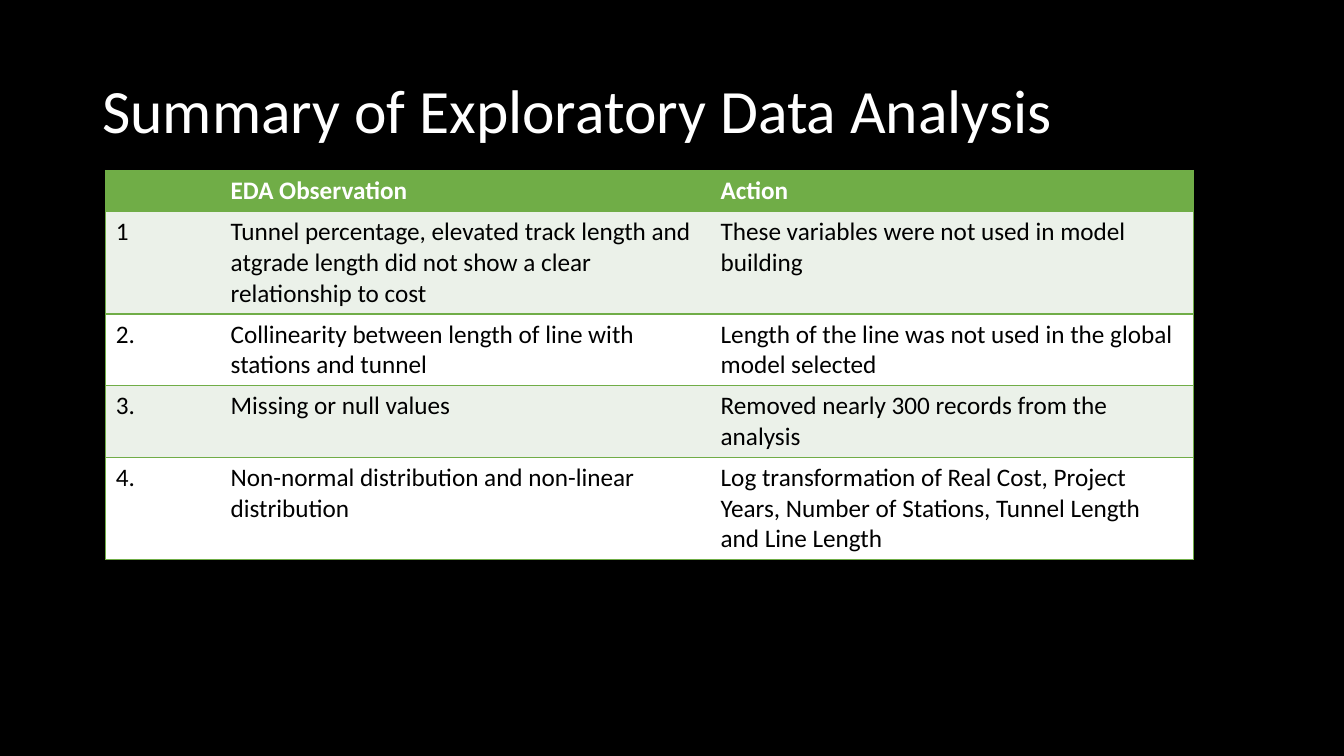
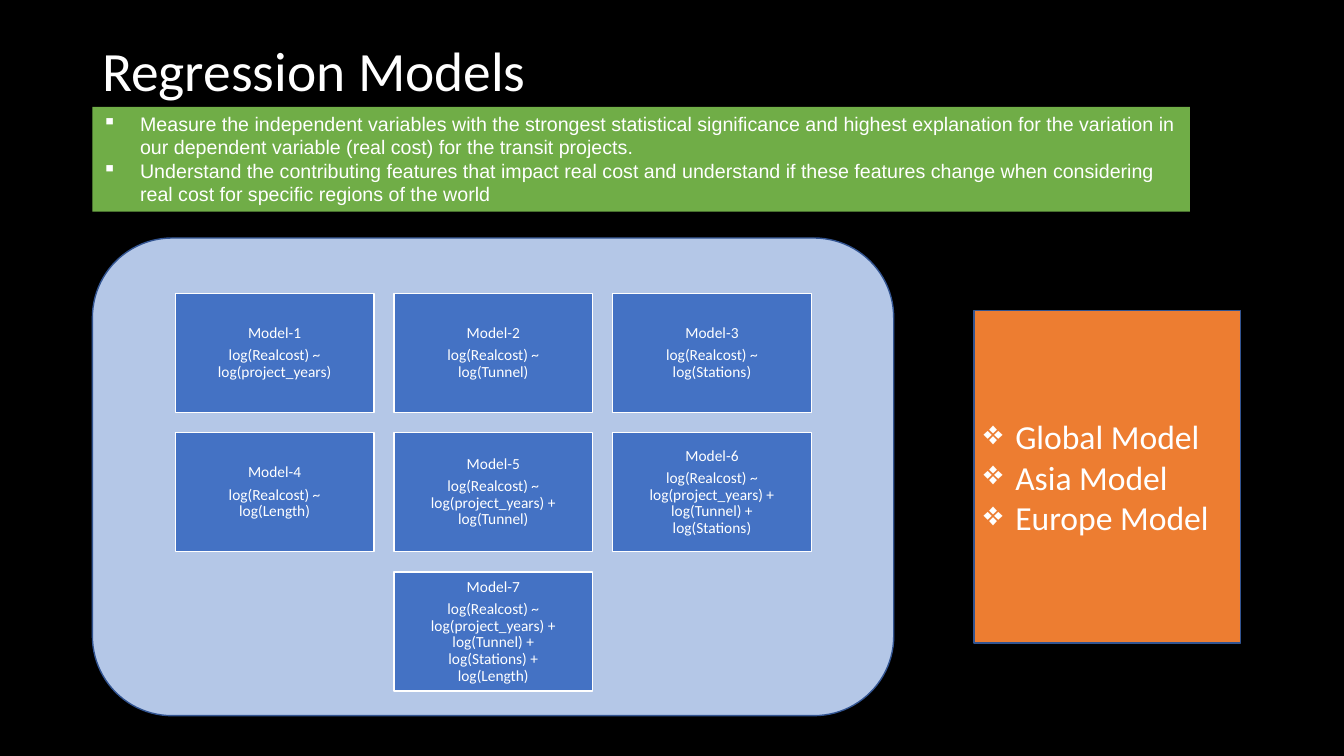
from dataclasses import dataclass

from lxml import etree
from pptx import Presentation
from pptx.dml.color import RGBColor
from pptx.enum.shapes import MSO_SHAPE
from pptx.enum.text import MSO_ANCHOR, PP_ALIGN
from pptx.oxml.ns import qn
from pptx.util import Pt

RECT, ROUND = MSO_SHAPE.RECTANGLE, MSO_SHAPE.ROUNDED_RECTANGLE
TOP, MIDDLE = MSO_ANCHOR.TOP, MSO_ANCHOR.MIDDLE
LEFT, CENTER = PP_ALIGN.LEFT, PP_ALIGN.CENTER


@dataclass(frozen=True)
class Theme:
    black: str = "000000"
    white: str = "FFFFFF"
    green: str = "70AD47"
    mint: str = "EBF1E9"
    blue: str = "4472C4"
    pale: str = "B4C7E7"
    navy: str = "325491"
    orange: str = "ED7D31"
    font: str = "Calibri"
    sans: str = "Arial"
    title: float = 44
    short: float = 39.6
    large: float = 24
    body: float = 18
    goal: float = 14
    small: float = 11


THEME = Theme()


def paint(fill, color):
    fill.solid()
    fill.fore_color.rgb = RGBColor.from_string(color)


def write(frame, text, size=THEME.body, color=THEME.white, font=THEME.font,
          bold=False, align=LEFT, space=None, after=0, bullet=None, indent=0):
    """Fill a frame: each newline starts a paragraph, each \\v a new line."""
    frame.word_wrap = True
    for i, line in enumerate(text.split("\n")):
        para = frame.add_paragraph() if i else frame.paragraphs[0]
        para.text = line
        para.alignment = align
        para.space_after = Pt(after)
        if space:
            para.line_spacing = space
        style = para.font
        style.size, style.name, style.bold = Pt(size), font, bold
        style.color.rgb = RGBColor.from_string(color)
        for run in para.runs:
            run.font.size, run.font.name, run.font.bold = Pt(size), font, bold
            run.font.color.rgb = RGBColor.from_string(color)
        if bullet:
            props = para._p.get_or_add_pPr()
            props.set("marL", str(Pt(indent)))
            props.set("indent", str(-Pt(indent)))
            mark = etree.Element(qn("a:buChar"), char=bullet)
            first = props.find(qn("a:defRPr"))
            if first is None:
                props.append(mark)
            else:
                first.addprevious(mark)


def edge(cell, side, color=None):
    """Draw one cell border, or clear it when no colour is given."""
    line = etree.SubElement(cell._tc.get_or_add_tcPr(), qn("a:ln" + side),
                            w=str(Pt(1)))
    if color:
        fill = etree.SubElement(line, qn("a:solidFill"))
        etree.SubElement(fill, qn("a:srgbClr"), val=color)
    else:
        etree.SubElement(line, qn("a:noFill"))


class Deck:
    def __init__(self, theme):
        self.theme = theme
        self.file = Presentation()
        self.file.slide_width, self.file.slide_height = Pt(960), Pt(540)
        self.slide = None

    def page(self):
        self.slide = self.file.slides.add_slide(self.file.slide_layouts[6])
        paint(self.slide.background.fill, self.theme.black)

    def title(self, text, width, height, size):
        box = self.slide.shapes.add_textbox(
            Pt(66), Pt(28.8), Pt(width), Pt(height))
        box.text_frame.vertical_anchor = MIDDLE
        write(box.text_frame, text, size=size, space=0.9)

    def box(self, x, y, width, height, fill, line=None, kind=RECT,
            text=None, anchor=MIDDLE, inset=None, **style):
        shape = self.slide.shapes.add_shape(
            kind, Pt(x), Pt(y), Pt(width), Pt(height))
        shape.shadow.inherit = False
        paint(shape.fill, fill)
        if line:
            paint(shape.line.fill, line)
            shape.line.width = Pt(1)
        else:
            shape.line.fill.background()
        if text:
            frame = shape.text_frame
            frame.vertical_anchor = anchor
            if inset is not None:
                frame.margin_left = frame.margin_right = Pt(inset)
                frame.margin_top = frame.margin_bottom = Pt(inset)
            write(frame, text, **style)

    def table(self, x, y, widths, heights, rows):
        theme = self.theme
        grid = self.slide.shapes.add_table(
            len(rows), len(widths), Pt(x), Pt(y),
            Pt(sum(widths)), Pt(sum(heights))).table
        for col, width in zip(grid.columns, widths):
            col.width = Pt(width)
        for row, height in zip(grid.rows, heights):
            row.height = Pt(height)
        last = len(widths) - 1
        for r, row in enumerate(rows):
            head = r == 0
            fill = theme.green if head else theme.mint if r % 2 else theme.white
            for c, text in enumerate(row):
                cell = grid.cell(r, c)
                edge(cell, "L", theme.green if c == 0 else None)
                edge(cell, "R", theme.green if c == last else None)
                edge(cell, "T", theme.green)
                edge(cell, "B", theme.green)
                paint(cell.fill, fill)
                write(cell.text_frame, text, bold=head,
                      color=theme.white if head else theme.black)


FINDINGS = [
    ("", "EDA Observation", "Action"),
    ("1", "Tunnel percentage, elevated track length and atgrade length "
     "did not show a clear relationship to cost",
     "These variables were not used in model building"),
    ("2.", "Collinearity between length of line with stations and tunnel",
     "Length of the line was not used in the global model selected"),
    ("3.", "Missing or null values",
     "Removed nearly 300 records from the analysis"),
    ("4.", "Non-normal distribution and non-linear distribution",
     "Log transformation of Real Cost, Project Years, Number of Stations, "
     "Tunnel Length and Line Length"),
]
GOALS = (
    "Measure the independent variables with the strongest statistical "
    "significance and highest explanation for the variation in our dependent "
    "variable (real cost) for the transit projects.\n"
    "Understand the contributing features that impact real cost and "
    "understand if these features change when considering real cost for "
    "specific regions of the world"
)
MODELS = [
    ("project_years",),
    ("Tunnel",),
    ("Stations",),
    ("Length",),
    ("project_years", "Tunnel"),
    ("project_years", "Tunnel", "Stations"),
    ("project_years", "Tunnel", "Stations", "Length"),
]


def summary(deck):
    deck.page()
    deck.title("Summary of Exploratory Data Analysis", 828, 104.4,
               deck.theme.title)
    deck.table(75.6, 121.7, (82, 350, 345), (29.4, 73.2, 51.2, 51.2, 73.2),
               FINDINGS)


def models(deck):
    theme = deck.theme
    deck.page()
    deck.box(66, 170, 572.4, 341.2, theme.pale, theme.navy, ROUND)
    deck.title("Regression Models", 473, 47.5, theme.short)
    for i, terms in enumerate(MODELS):
        row, col = divmod(i, 3)
        if i == len(MODELS) - 1:
            col = 1
        sums = " +\v".join(f"log({term})" for term in terms)
        deck.box(125.2 + 156.2 * col, 209.5 + 99.6 * row, 142, 85,
                 theme.blue, theme.white, inset=3.6, size=theme.small,
                 text=f"Model-{i + 1}\nlog(Realcost) ~\v{sums}",
                 align=CENTER, space=0.9, after=4)
    deck.box(695.6, 221.8, 190.4, 237.6, theme.orange, theme.navy,
             text="Global Model\nAsia Model\nEurope Model",
             size=theme.large, bullet="❖", indent=22.5)
    deck.box(66, 76.3, 784, 74.9, theme.green, text=GOALS, anchor=TOP,
             size=theme.goal, font=theme.sans, bullet="▪", indent=27)


def main():
    deck = Deck(THEME)
    summary(deck)
    models(deck)
    deck.file.save("out.pptx")


if __name__ == "__main__":
    main()
